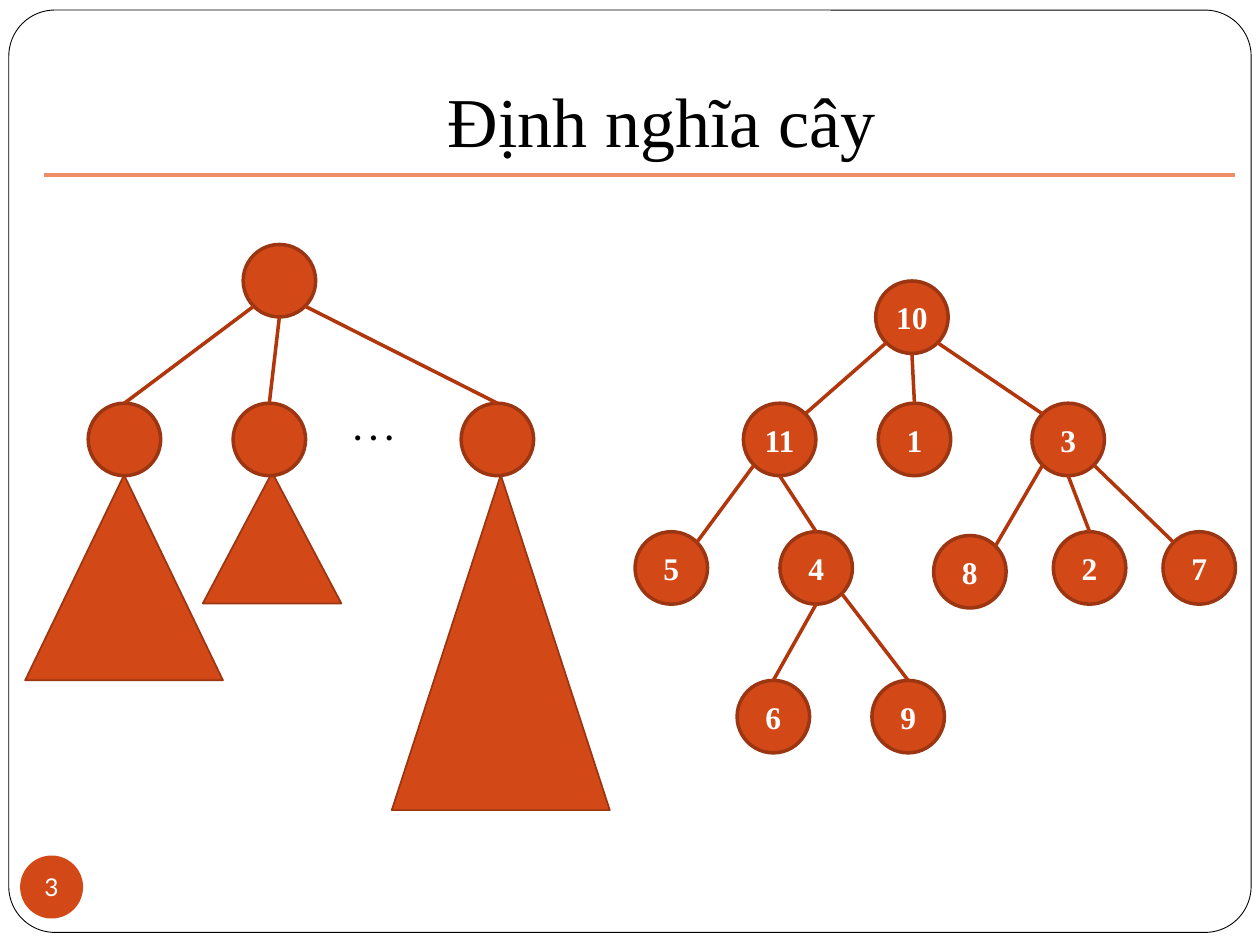
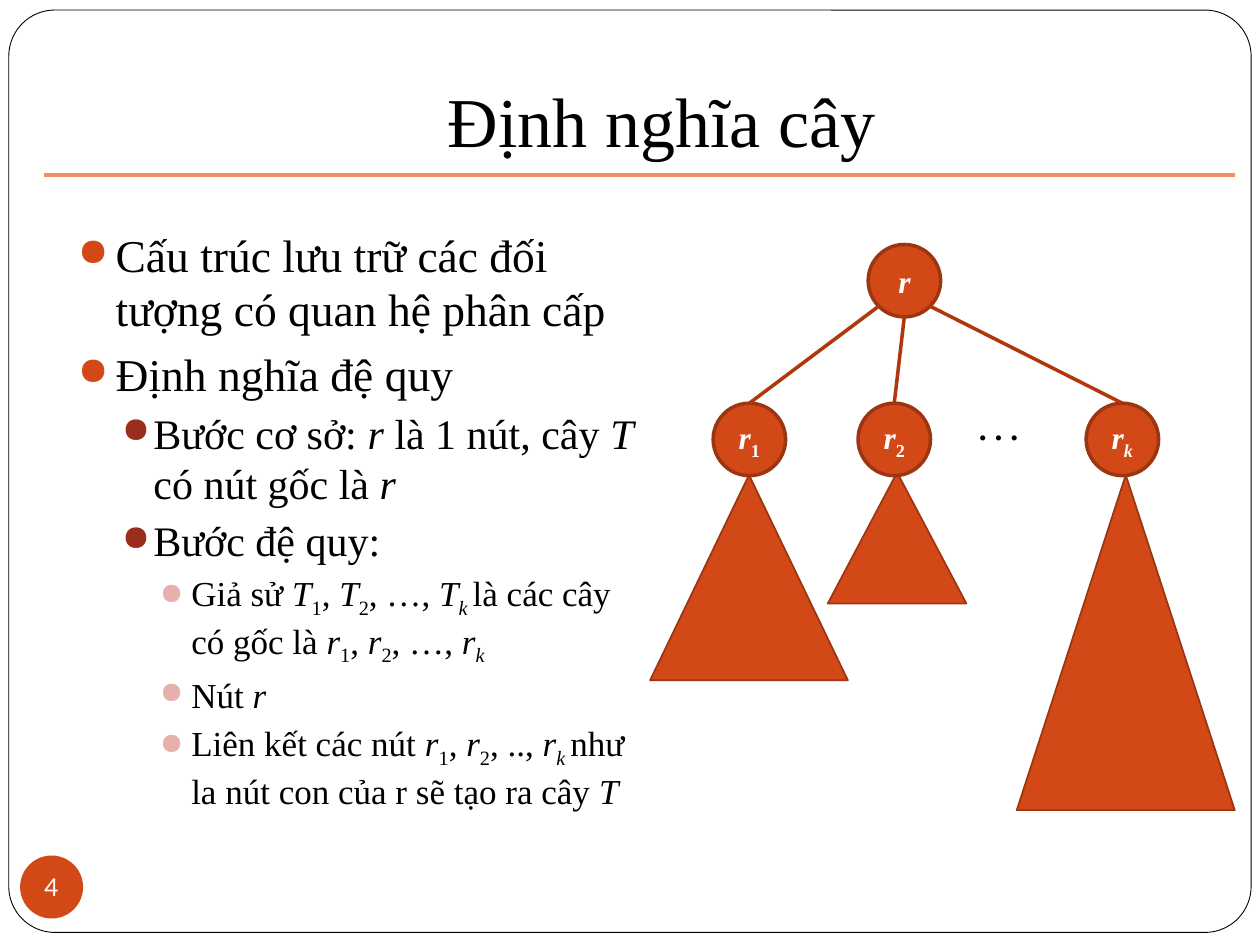
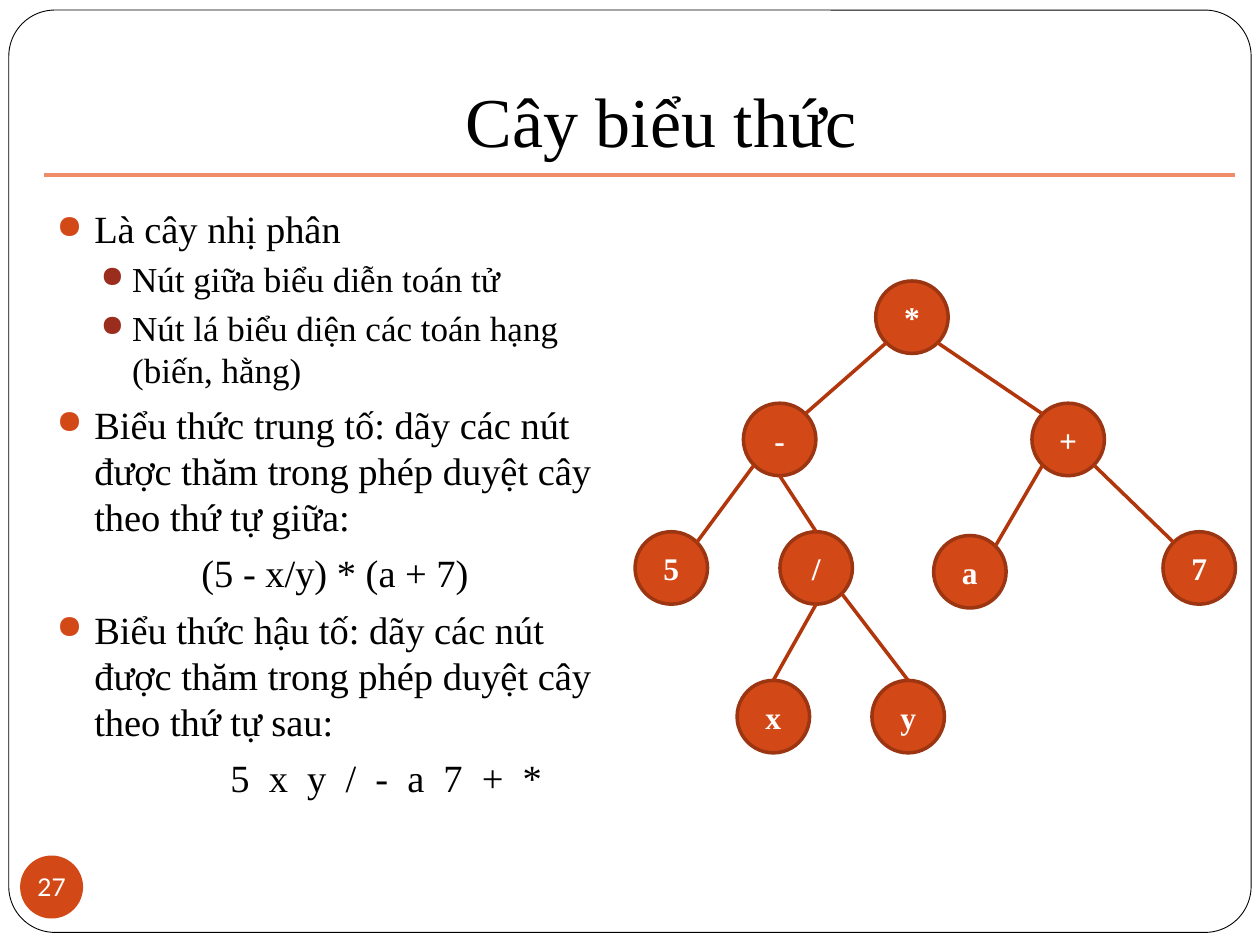
import dataclasses

import lxml.etree
import pptx
import pptx.dml.color
import pptx.enum.shapes
import pptx.enum.text
import pptx.oxml.ns
import pptx.util


@dataclasses.dataclass(frozen=True)
class Theme:
    serif: str = "Times New Roman"
    sans: str = "Lato"
    ink: str = "000000"
    paper: str = "FFFFFF"
    accent: str = "D34817"
    outline: str = "9C3511"
    link: str = "B1360B"
    rule: str = "EF8C6A"
    bullets: tuple = ("D34817", "9B2D1F", "E6B1AC")
    title_size: int = 40
    node_size: int = 18
    badge_size: int = 14


THEME = Theme()
RGB = pptx.dml.color.RGBColor.from_string
KIND = pptx.enum.shapes.MSO_SHAPE
ANCHOR = pptx.enum.text.MSO_ANCHOR
CENTER = pptx.enum.text.PP_ALIGN.CENTER
QN = pptx.oxml.ns.qn
Inches, Pt = pptx.util.Inches, pptx.util.Pt

# The slide is a grid of 100 columns by 75 rows of square cells
CELL = Inches(0.1)
NODE = 5.75


def write(paragraph, marked, size, colour=THEME.ink, name=THEME.serif, bold=False):
    """Add runs split at |; a leading ~ means italic, a leading _ subscript."""
    for piece in filter(None, marked.split("|")):
        text = piece.lstrip("~_")
        marks = piece[:len(piece) - len(text)]
        run = paragraph.add_run()
        run.text = text
        look = dict(size=Pt(size), name=name, bold=bold, italic="~" in marks)
        for attribute, value in look.items():
            setattr(run.font, attribute, value)
        run.font.color.rgb = RGB(colour)
        if "_" in marks:
            run.font._element.set("baseline", "-25000")


def draw(slide, kind, cells, fill=THEME.accent, line=THEME.outline, weight=2,
         label="", **look):
    """Add a filled shape, placed in grid cells, with a centred label."""
    shape = slide.shapes.add_shape(kind, *(round(cell * CELL) for cell in cells))
    shape.shadow.inherit = False
    shape.fill.solid()
    shape.fill.fore_color.rgb = RGB(fill)
    if line:
        shape.line.color.rgb = RGB(line)
        shape.line.width = Pt(weight)
    else:
        shape.line.fill.background()
    frame_format = dict(margin_left=0, margin_top=0, margin_right=0, margin_bottom=0,
                        vertical_anchor=ANCHOR.MIDDLE, word_wrap=True)
    for attribute, value in frame_format.items():
        setattr(shape.text_frame, attribute, value)
    shape.text_frame.paragraphs[0].alignment = CENTER
    if label:
        write(shape.text_frame.paragraphs[0], label, colour=THEME.paper, **look)
    return shape


# Points on a node where links meet, as shares of its diameter
SITES = dict(N=(0.5, 0), NE=(0.85, 0.15), NW=(0.15, 0.15),
             S=(0.5, 1), SW=(0.15, 0.85), SE=(0.85, 0.85))

# Diagrams: node places, links (parent, site, child, site), subtrees, dots
DIAGRAMS = dict(
    tree=dict(
        places=dict(root=(69.5, 22.3), left=(59, 32), middle=(69.7, 32),
                    right=(81.9, 32), left_a=(50.4, 42.2), left_b=(61.9, 42.2),
                    right_a=(74.1, 42.5), right_b=(83.6, 42.2),
                    right_c=(92.3, 42.2), leaf_a=(58.5, 54), leaf_b=(69.2, 54)),
        links=[("root", "SW", "left", "NE"), ("root", "S", "middle", "N"),
               ("root", "SE", "right", "NW"), ("left", "SW", "left_a", "NE"),
               ("left", "S", "left_b", "N"), ("right", "SW", "right_a", "NE"),
               ("right", "S", "right_b", "N"), ("right", "SE", "right_c", "NW"),
               ("left_b", "S", "leaf_a", "N"), ("left_b", "SE", "leaf_b", "N")],
        subtrees=[], dots=[]),
    forest=dict(
        places=dict(root=(19.3, 19.4), first=(7, 32), second=(18.5, 32),
                    last=(36.6, 32)),
        links=[("root", "SW", "first", "N"), ("root", "S", "second", "N"),
               ("root", "SE", "last", "N")],
        subtrees=[(2, 37.7, 15.7, 16.3), (16.1, 37.5, 11, 10.4),
                  (31.1, 37.7, 17.3, 26.6)],
        dots=[(27.1, 32, 7.9, 4)]))

# Slides: diagrams are (kind, columns to the right, labels);
# lines are (level, size, text), or (None, size, text, indent, letter spacing)
SLIDES = [
    dict(title="Định nghĩa cây", number="3",
         diagrams=[
             ("tree", 0, dict(root="10", left="11", middle="1", right="3",
                              left_a="5", left_b="4", right_a="8", right_b="2",
                              right_c="7", leaf_a="6", leaf_b="9")),
             ("forest", 0, dict(root="", first="", second="", last=""))],
         body=None, lines=[]),
    dict(title="Định nghĩa cây", number="4",
         diagrams=[("forest", 49.6, dict(root="~r", first="~r|_1", second="~r|_2",
                                         last="~r|_~k"))],
         body=(5.2, 17.5, 46.4, 54.7),
         lines=[
             (0, 26, "Cấu trúc lưu trữ các đối tượng có quan hệ phân cấp"),
             (0, 26, "Định nghĩa đệ quy"),
             (1, 24, "Bước cơ sở: |~r |là 1 nút, cây |~T |có nút gốc là |~r"),
             (1, 24, "Bước đệ quy:"),
             (2, 20, "Giả sử |~T|_1|, |~T|_2|, …, |~T|_~k |là các cây có gốc là "
                     "|~r|_1|, |~r|_2|, …, |~r|_~k"),
             (2, 20, "Nút |~r"),
             (2, 20, "Liên kết các nút |~r|_1|, |~r|_2|, .., |~r|_~k |như la nút "
                     "con của r sẽ tạo ra cây |~T")]),
    dict(title="Cây biểu thức", number="27",
         diagrams=[("tree", 0, dict(root="*", left="-", right="+", left_a="5",
                                    left_b="/", right_a="a", right_c="7",
                                    leaf_a="x", leaf_b="y"))],
         body=(3.5, 15.8, 47.2, 54.7),
         lines=[
             (0, 22, "Là cây nhị phân"),
             (1, 20, "Nút giữa biểu diễn toán tử"),
             (1, 20, "Nút lá biểu diện các toán hạng (biến, hằng)"),
             (0, 22, "Biểu thức trung tố: dãy các nút được thăm trong phép duyệt "
                     "cây theo thứ tự giữa:"),
             (None, 22, "(5 - x/y) * (a + 7)", 1.15, 0),
             (0, 22, "Biểu thức hậu tố: dãy các nút được thăm trong phép duyệt "
                     "cây theo thứ tự sau:"),
             (None, 22, "5 x y / - a 7 + *", 1.38, 2.75)]),
]

deck = pptx.Presentation()
deck.slide_width, deck.slide_height = 100 * CELL, 75 * CELL
title_only = deck.slide_layouts[5]

for content in SLIDES:
    slide = deck.slides.add_slide(title_only)

    # Title
    title = slide.shapes.title
    title_place = dict(left=10, top=1.3, width=85, height=12.5)
    for attribute, cells in title_place.items():
        setattr(title, attribute, round(cells * CELL))
    title_format = dict(vertical_anchor=ANCHOR.BOTTOM, word_wrap=True,
                        auto_size=pptx.enum.text.MSO_AUTO_SIZE.NONE,
                        margin_left=CELL, margin_right=CELL,
                        margin_top=CELL // 2, margin_bottom=CELL)
    for attribute, value in title_format.items():
        setattr(title.text_frame, attribute, value)
    title.text_frame.paragraphs[0].alignment = CENTER
    write(title.text_frame.paragraphs[0], content["title"], THEME.title_size)

    # Slide number badge
    draw(slide, KIND.OVAL, (1.6, 67.9, 5, 5), line=None, label=content["number"],
         size=THEME.badge_size, name=THEME.sans)

    # Strokes are (start, end, colour, node joined at its top);
    # the first is the rule below the title
    strokes = [((3.5, 13.9), (98, 13.9), THEME.rule, None)]

    # Subtrees, nodes and dots
    for kind, shift, labels in content["diagrams"]:
        diagram = DIAGRAMS[kind]
        for left, top, width, height in diagram["subtrees"]:
            draw(slide, KIND.ISOSCELES_TRIANGLE, (left + shift, top, width, height),
                 weight=1)
        nodes = {}
        for place, label in labels.items():
            left, top = diagram["places"][place]
            nodes[place] = draw(slide, KIND.FLOWCHART_CONNECTOR,
                                (left + shift, top, NODE, NODE), label=label,
                                size=THEME.node_size, bold=True)
        for left, top, width, height in diagram["dots"]:
            dots = slide.shapes.add_textbox(
                *(round(cell * CELL) for cell in (left + shift, top, width, height)))
            write(dots.text_frame.paragraphs[0], ". . .", THEME.node_size, bold=True)
        for parent, out_site, child, in_site in diagram["links"]:
            if child in nodes:
                start, end = (
                    [origin + share * NODE for origin, share
                     in zip(diagram["places"][place], SITES[site])]
                    for place, site in ((parent, out_site), (child, in_site)))
                start[0] += shift
                end[0] += shift
                strokes.append((start, end, THEME.link,
                                nodes[child] if in_site == "N" else None))

    # Rule and links
    for start, end, colour, joined in strokes:
        stroke = slide.shapes.add_connector(
            pptx.enum.shapes.MSO_CONNECTOR.STRAIGHT,
            *(round(cell * CELL) for cell in (*start, *end)))
        stroke.line.color.rgb = RGB(colour)
        stroke.line.width = Pt(2)
        lxml.etree.SubElement(stroke.element.spPr, QN("a:effectLst"))
        if joined:
            stroke.end_connect(joined, 0)

    # Body text
    if content["body"]:
        body = slide.shapes.add_textbox(
            *(round(cell * CELL) for cell in content["body"])).text_frame
        body.word_wrap = True
    for index, (level, size, text, *formula) in enumerate(content["lines"]):
        paragraph = body.add_paragraph() if index else body.paragraphs[0]
        paragraph.space_before = Pt(3.7 if level else 5.8)
        write(paragraph, text, size)
        properties = paragraph._p.get_or_add_pPr()
        if formula:
            indent, spacing = formula
            properties.set("marL", str(Inches(indent)))
            properties.set("indent", "0")
            paragraph.runs[0].font._element.set("spc", str(round(spacing * 100)))
            continue
        paragraph.level = level
        properties.set("marL", str(Inches(0.3 * (level + 1))))
        properties.set("indent", str(-Inches(0.25 if level else 0.3)))
        bullet_colour = lxml.etree.SubElement(properties, QN("a:buClr"))
        lxml.etree.SubElement(bullet_colour, QN("a:srgbClr"), val=THEME.bullets[level])
        lxml.etree.SubElement(properties, QN("a:buSzPct"), val="85000")
        lxml.etree.SubElement(properties, QN("a:buChar"), char="●")

# Rounded page frame, shared through the layout
page_frame = draw(deck.slides[0], KIND.ROUNDED_RECTANGLE, (0.7, 0.8, 98.6, 73.2),
                  fill=THEME.paper, line=THEME.ink, weight=0.5)
page_frame.adjustments[0] = 0.05
title_only.shapes.element.insert(2, page_frame.element)

deck.save("out.pptx")
